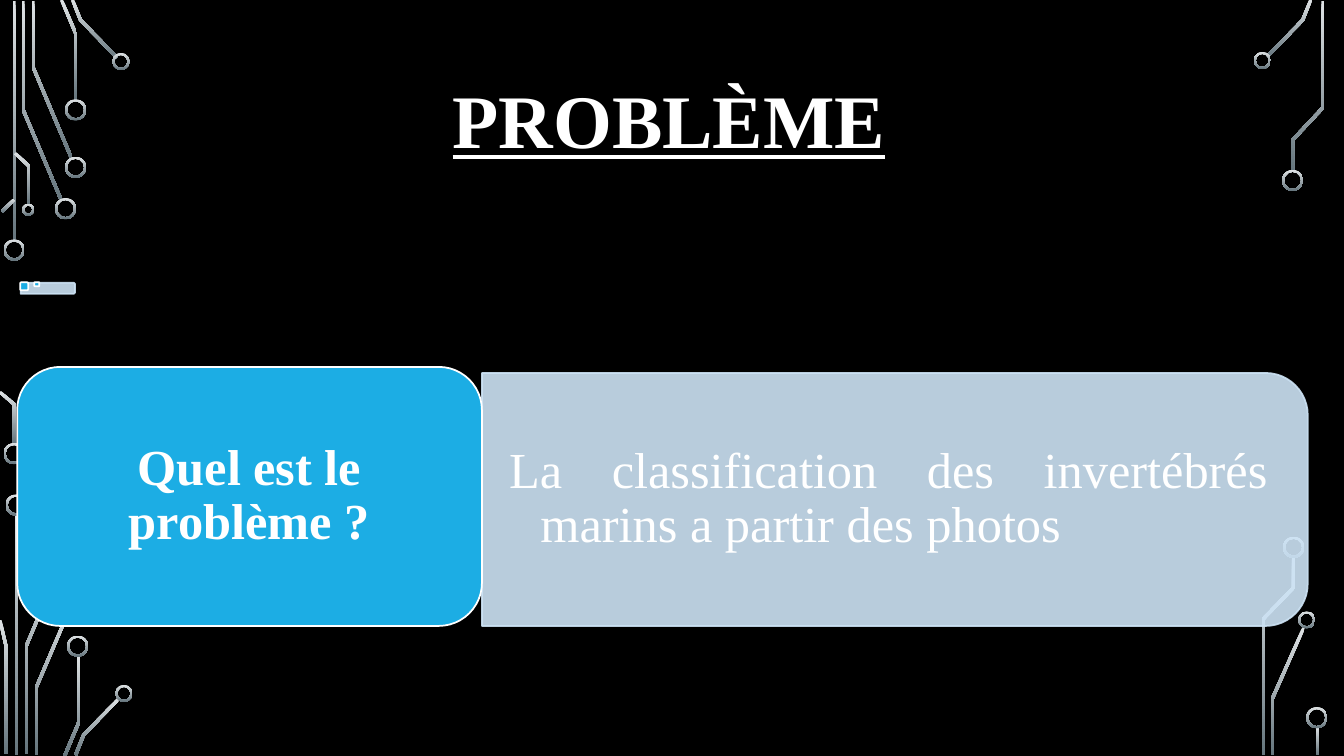
import math

from lxml import etree
from pptx import Presentation
from pptx.dml.color import RGBColor
from pptx.enum.shapes import MSO_SHAPE
from pptx.enum.text import MSO_ANCHOR, PP_ALIGN
from pptx.oxml.ns import qn
from pptx.util import Inches, Pt

RECT_ROUND_TOP = MSO_SHAPE.ROUND_2_SAME_RECTANGLE
RECT_ROUND = MSO_SHAPE.ROUNDED_RECTANGLE
DONUT = MSO_SHAPE.DONUT
MIDDLE = MSO_ANCHOR.MIDDLE
CENTER = PP_ALIGN.CENTER
JUSTIFY = PP_ALIGN.JUSTIFY

FONT = "Times New Roman"
BLACK, WHITE, BLUE, PALE = "000000", "FFFFFF", "1CADE4", "CDE3F5"
TRACE_TOP, TRACE_BOTTOM = "DFE3E5", "65757D"
TRACE_WIDTH = 0.03
RING_WIDTH = 0.02

# Centre lines of the circuit traces
TRACES = [
    # top left
    [(0.14, 0.01), (0.14, 2.4)],
    [(0.23, 0.01), (0.23, 1.09), (0.61, 1.99)],
    [(0.33, 0.01), (0.33, 0.67), (0.71, 1.57)],
    [(0.61, 0), (0.75, 0.33), (0.75, 1)],
    [(0.72, 0), (0.8, 0.2), (1.16, 0.57)],
    [(0.02, 2.1), (0.14, 1.98)],
    [(0, 3.89), (0.14, 4.01), (0.14, 4.41)],
    [(0.15, 1.52), (0.29, 1.65), (0.29, 2.03)],
    # bottom left
    [(0.16, 5.1), (0.16, 7.49)],
    [(0.26, 7.48), (0.26, 6.41), (0.64, 5.51)],
    [(0.06, 7.48), (0.06, 6.41), (0, 6.15)],
    [(0.36, 7.49), (0.36, 6.82), (0.74, 5.93)],
    [(0.64, 7.5), (0.78, 7.17), (0.78, 6.5)],
    [(0.75, 7.49), (0.83, 7.29), (1.18, 6.93)],
    # right
    [(13, 0), (12.92, 0.2), (12.57, 0.56)],
    [(12.82, 1.69), (12.82, 1.39), (13.12, 1.07), (13.12, 0.01)],
    [(12.62, 7.49), (12.62, 6.93), (12.93, 6.23)],
    [(12.53, 7.49), (12.53, 6.14), (12.83, 5.83), (12.83, 5.52)],
    [(13.07, 7.21), (13.07, 7.49)],
]
# Centre x, centre y and diameter of the rings that end the traces
RINGS = [
    (0.14, 2.48, 0.21), (0.14, 4.5, 0.21), (0.65, 2.07, 0.21),
    (0.75, 1.66, 0.21), (0.75, 1.09, 0.21), (1.2, 0.61, 0.17),
    (0.28, 2.08, 0.12), (0.16, 5.01, 0.21), (0.77, 6.41, 0.21),
    (1.23, 6.88, 0.17), (12.52, 0.6, 0.17), (12.82, 1.79, 0.21),
    (12.96, 6.15, 0.17), (12.83, 5.43, 0.21), (13.06, 7.12, 0.21),
]


def rgb(color):
    return RGBColor.from_string(color)


def set_alpha(fill_format, sp, percent):
    """Apply one opacity to the solid colours of a shape's fill and line."""
    for clr in sp._element.spPr.iter(qn("a:srgbClr")):
        etree.SubElement(clr, qn("a:alpha")).set("val", str(percent * 1000))


def write(sp, text, size=36, color=WHITE, align=CENTER, bold=False,
          underline=False, margins=(0.1, 0.05), hanging=0):
    tf = sp.text_frame
    tf.word_wrap = True
    tf.vertical_anchor = MIDDLE
    tf.margin_left = tf.margin_right = Inches(margins[0])
    tf.margin_top = tf.margin_bottom = Inches(margins[1])
    p = tf.paragraphs[0]
    p.alignment = align
    p.line_spacing = 0.9
    if hanging:
        pPr = p._p.get_or_add_pPr()
        pPr.set("marL", str(Inches(hanging)))
        pPr.set("indent", str(-Inches(hanging)))
    r = p.add_run()
    r.text = text
    r.font.name = FONT
    r.font.size = Pt(size)
    r.font.bold = bold
    r.font.underline = underline
    r.font.color.rgb = rgb(color)


def add_box(s, kind, box, fill, line, alpha=None, rotation=0):
    sp = s.shapes.add_shape(kind, *map(Inches, box))
    sp.shadow.inherit = False
    sp.rotation = rotation
    sp.fill.solid()
    sp.fill.fore_color.rgb = rgb(fill)
    sp.line.color.rgb = rgb(line)
    sp.line.width = Pt(1.25)
    if alpha:
        set_alpha(sp.fill, sp, alpha)
    return sp


def paint_metal(sp):
    """Give a circuit part its vertical grey gradient and no outline."""
    sp.shadow.inherit = False
    sp.line.fill.background()
    sp.fill.gradient()
    sp.fill.gradient_angle = 270
    for stop, color in zip(sp.fill.gradient_stops, (TRACE_TOP, TRACE_BOTTOM)):
        stop.color.rgb = rgb(color)


def trace_outline(points):
    """Widen a centre line into a closed band with mitred corners."""
    normals = []
    for (x1, y1), (x2, y2) in zip(points, points[1:]):
        length = math.hypot(x2 - x1, y2 - y1)
        normals.append(((y1 - y2) / length, (x2 - x1) / length))
    left, right = [], []
    for (x, y), a, b in zip(points, normals[:1] + normals, normals + normals[-1:]):
        k = TRACE_WIDTH / 2 / (1 + a[0] * b[0] + a[1] * b[1])
        dx, dy = k * (a[0] + b[0]), k * (a[1] + b[1])
        left.append((Inches(x + dx), Inches(y + dy)))
        right.append((Inches(x - dx), Inches(y - dy)))
    return left + right[::-1]


def add_trace(s, points):
    start, *rest = trace_outline(points)
    builder = s.shapes.build_freeform(*start)
    builder.add_line_segments(rest, close=True)
    paint_metal(builder.convert_to_shape())


def add_ring(s, x, y, size):
    sp = s.shapes.add_shape(DONUT, Inches(x - size / 2), Inches(y - size / 2),
                            Inches(size), Inches(size))
    sp.adjustments[0] = RING_WIDTH / size
    paint_metal(sp)


def add_title(s, text):
    title = s.shapes.title
    title.left, title.top = Inches(1.22), Inches(0.1)
    title.width, title.height = Inches(10.83), Inches(2.27)
    write(title, text, size=54, bold=True, underline=True)


def add_question(s, question, answer):
    add_box(s, RECT_ROUND_TOP, (7.62, 0.86, 2.51, 8.19), PALE, PALE, alpha=90, rotation=90)
    tb = s.shapes.add_textbox(Inches(4.78), Inches(3.82), Inches(8.07), Inches(2.27))
    write(tb, answer, align=JUSTIFY, margins=(0.27, 0.14), hanging=0.31)
    label = add_box(s, RECT_ROUND, (0.17, 3.64, 4.61, 2.57), BLUE, WHITE)
    write(label, question, bold=True, margins=(0.15, 0.07))


def add_small_row(s):
    add_box(s, RECT_ROUND_TOP, (0.42, 2.59, 0.11, 0.54), PALE, PALE, alpha=90, rotation=90)
    for box in ((0.2, 2.8, 0.08, 0.08), (0.34, 2.8, 0.05, 0.04)):
        add_box(s, RECT_ROUND, box, BLUE, WHITE)


def main():
    prs = Presentation()
    prs.slide_width, prs.slide_height = Inches(13.33), Inches(7.5)
    s = prs.slides.add_slide(prs.slide_layouts[5])
    s.background.fill.solid()
    s.background.fill.fore_color.rgb = rgb(BLACK)
    for points in TRACES:
        add_trace(s, points)
    for ring in RINGS:
        add_ring(s, *ring)
    add_title(s, "PROBLÈME")
    add_question(s, "Quel est le problème ?",
                 "La classification des invertébrés marins a partir des photos")
    add_small_row(s)
    prs.save("out.pptx")


if __name__ == "__main__":
    main()
